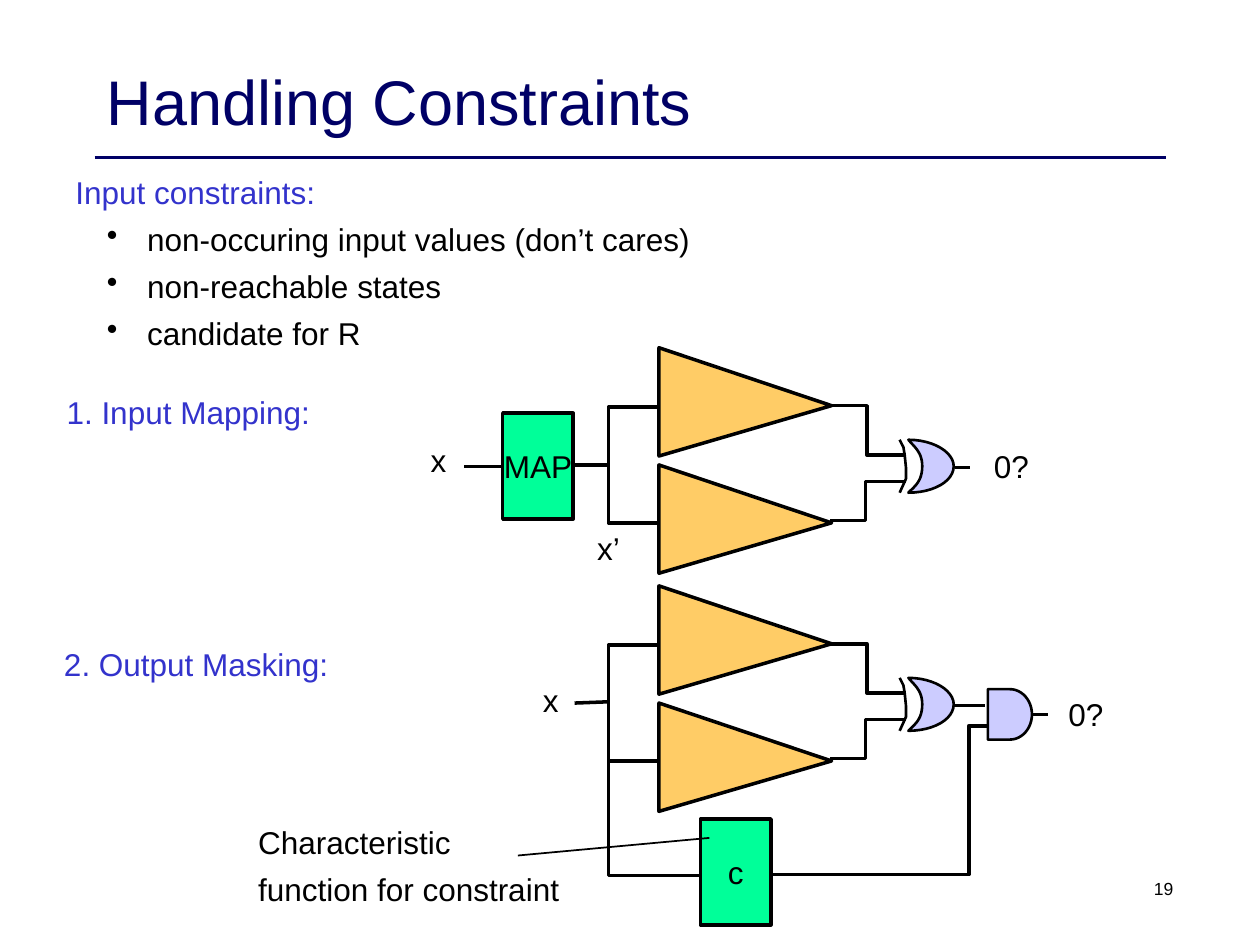
from lxml import etree
from pptx import Presentation
from pptx.dml.color import RGBColor
from pptx.enum.shapes import MSO_CONNECTOR, MSO_SHAPE
from pptx.enum.text import MSO_ANCHOR, PP_ALIGN
from pptx.oxml.ns import qn
from pptx.util import Inches, Pt

STRAIGHT = MSO_CONNECTOR.STRAIGHT
RECTANGLE, DELAY = MSO_SHAPE.RECTANGLE, MSO_SHAPE.FLOWCHART_DELAY
MIDDLE, TOP = MSO_ANCHOR.MIDDLE, MSO_ANCHOR.TOP
LEFT, CENTER, RIGHT = PP_ALIGN.LEFT, PP_ALIGN.CENTER, PP_ALIGN.RIGHT
color = RGBColor.from_string
BLACK, NAVY, BLUE = "000000", "000066", "3333CC"
ORANGE, GREEN, LILAC = "FFCC66", "00FF99", "CCCCFF"
STAGE_GAP = 1.89

deck = Presentation()
deck.slide_width, deck.slide_height = Inches(10), Inches(7.5)
page = deck.slides.add_slide(deck.slide_layouts[6])


def add_outline(points, width, fill=None):
    corners = [(Inches(x), Inches(y)) for x, y in points]
    builder = page.shapes.build_freeform(*corners[0], scale=1.0)
    builder.add_line_segments(corners[1:], close=fill is not None)
    outline = builder.convert_to_shape()
    outline.shadow.inherit = False
    outline.line.color.rgb = color(BLACK)
    outline.line.width = Pt(width)
    if fill:
        outline.fill.solid()
        outline.fill.fore_color.rgb = color(fill)
    else:
        outline.fill.background()


def fill_text(box, text, size, ink, align, anchor, wrap):
    frame = box.text_frame
    frame.text = text
    frame.word_wrap = wrap
    frame.vertical_anchor = anchor
    for index, para in enumerate(frame.paragraphs):
        para.alignment = align
        if index:
            para.space_before = Pt(5.4)
        for span in para.runs:
            span.font.name = "Arial"
            span.font.size = Pt(size)
            span.font.color.rgb = color(ink)


for top in (2.76, 3.69):
    for y in (top, top + STAGE_GAP):
        add_outline([(5.23, y), (5.23, y + 0.86), (6.6, y + 0.46)], 2, ORANGE)

gate_curves = [
    [(7.21, 3.49), (7.26, 3.55), (7.32, 3.59), (7.32, 3.7)],
    [(7.32, 3.7), (7.32, 3.82), (7.26, 3.86), (7.21, 3.91)],
    [(7.21, 3.91), (7.41, 3.91), (7.57, 3.82), (7.57, 3.7)],
    [(7.57, 3.7), (7.57, 3.59), (7.41, 3.49), (7.21, 3.49)],
]
gate_body = []
for curve in gate_curves:
    for step in range(12):
        t = step / 12
        weights = ((1 - t) ** 3, 3 * t * (1 - t) ** 2, 3 * t * t * (1 - t), t ** 3)
        gate_body.append([sum(w * p[axis] for w, p in zip(weights, curve)) for axis in (0, 1)])

stage_lines = [
    ([(6.59, 3.22), (6.88, 3.22), (6.88, 3.61), (7.19, 3.61)], 2, None),
    ([(6.59, 4.13), (6.87, 4.13), (6.87, 3.82), (7.19, 3.82)], 2, None),
    ([(5.23, 3.23), (4.83, 3.23), (4.83, 4.15), (5.23, 4.15)], 2, None),
    ([(7.14, 3.49), (7.17, 3.55), (7.18, 3.61), (7.19, 3.71), (7.19, 3.8), (7.14, 3.91)], 1.5, None),
    (gate_body, 1.5, LILAC),
]
for shift in (0, STAGE_GAP):
    for points, width, fill in stage_lines:
        add_outline([(x, y + shift) for x, y in points], width, fill)

add_outline([(4.83, 6.02), (4.83, 6.95), (5.56, 6.95)], 2)
add_outline([(7.84, 5.76), (7.69, 5.76), (7.69, 6.94), (6.11, 6.94)], 2)

blocks = [
    (RECTANGLE, 3.99, 3.28, 0.56, 0.84, GREEN, 2, "MAP"),
    (RECTANGLE, 5.56, 6.5, 0.56, 0.84, GREEN, 2, "c"),
    (DELAY, 7.84, 5.47, 0.35, 0.4, LILAC, 1.5, ""),
]
for kind, left, top, width, height, fill, weight, label in blocks:
    block = page.shapes.add_shape(kind, Inches(left), Inches(top), Inches(width), Inches(height))
    block.shadow.inherit = False
    block.fill.solid()
    block.fill.fore_color.rgb = color(fill)
    block.line.color.rgb = color(BLACK)
    block.line.width = Pt(weight)
    if label:
        fill_text(block, label, 18, BLACK, CENTER, MIDDLE, False)

lines = [
    (0.75, 1.25, 9.25, 1.25, NAVY, 2.25),
    (4.83, 3.69, 4.56, 3.69, BLACK, 2),
    (7.58, 3.71, 7.7, 3.71, BLACK, 2),
    (3.98, 3.7, 3.68, 3.7, BLACK, 1.5),
    (7.58, 5.6, 7.82, 5.6, BLACK, 2),
    (4.83, 5.57, 4.56, 5.58, BLACK, 2),
    (8.2, 5.67, 8.32, 5.67, BLACK, 2),
    (5.63, 6.65, 4.11, 6.79, BLACK, 1),
]
for x1, y1, x2, y2, ink, weight in lines:
    line = page.shapes.add_connector(STRAIGHT, Inches(x1), Inches(y1), Inches(x2), Inches(y2))
    line.line.color.rgb = color(ink)
    line.line.width = Pt(weight)
    etree.SubElement(line._element.spPr, qn("a:effectLst"))

constraints = "\n".join([
    "Input constraints:",
    "non-occuring input values (don’t cares)",
    "non-reachable states",
    "candidate for R",
])
texts = [
    (0.75, 0.17, 8.5, 1.25, "Handling Constraints", 36, NAVY, LEFT, MIDDLE, True),
    (0.43, 3.07, 2.13, 0.4, "1. Input Mapping:", 18, BLUE, LEFT, TOP, False),
    (0.41, 5.07, 2.3, 0.4, "2. Output Masking:", 18, BLUE, LEFT, TOP, False),
    (3.32, 3.45, 0.32, 0.4, "x", 18, BLACK, LEFT, TOP, False),
    (4.64, 4.15, 0.38, 0.4, "x’", 18, BLACK, LEFT, TOP, False),
    (4.21, 5.36, 0.32, 0.4, "x", 18, BLACK, LEFT, TOP, False),
    (7.79, 3.5, 0.48, 0.4, "0?", 18, BLACK, LEFT, TOP, False),
    (8.38, 5.47, 0.48, 0.4, "0?", 18, BLACK, LEFT, TOP, False),
    (1.95, 6.48, 2.59, 0.77, "Characteristic\nfunction for constraint", 18, BLACK, LEFT, TOP, False),
    (7.33, 6.92, 2.08, 0.5, "19", 10, BLACK, RIGHT, TOP, True),
    (0.5, 1.32, 5.16, 1.49, constraints, 18, BLUE, LEFT, TOP, False),
]
for left, top, width, height, *style in texts:
    box = page.shapes.add_textbox(Inches(left), Inches(top), Inches(width), Inches(height))
    fill_text(box, *style)

for para in box.text_frame.paragraphs[1:]:
    properties = para._p.get_or_add_pPr()
    properties.set("marL", str(Inches(0.57)))
    properties.set("indent", str(Inches(-0.32)))
    bullet_color = etree.SubElement(properties, qn("a:buClr"))
    etree.SubElement(bullet_color, qn("a:srgbClr"), val=BLACK)
    etree.SubElement(properties, qn("a:buChar"), char="•")
    para.runs[0].font.color.rgb = color(BLACK)

deck.save("out.pptx")
